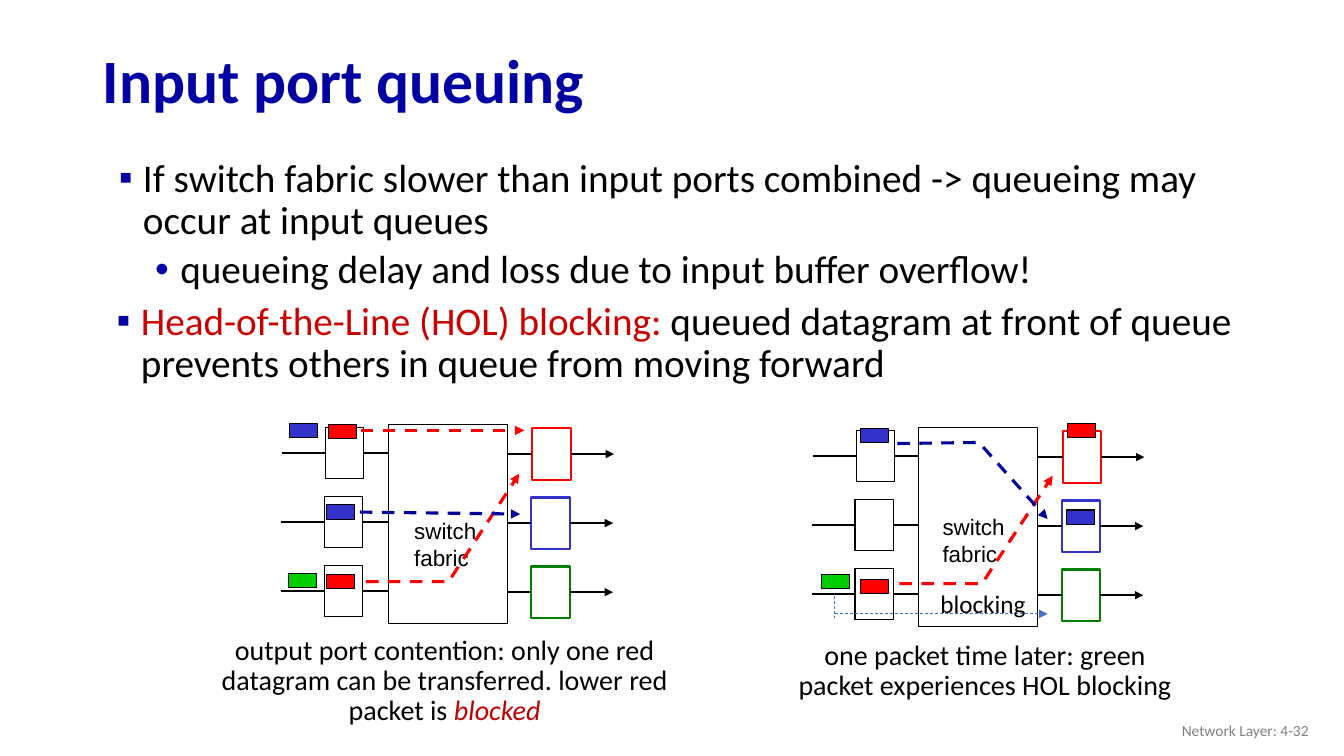
from lxml import etree
from pptx import Presentation
from pptx.dml.color import RGBColor
from pptx.enum.dml import MSO_LINE_DASH_STYLE as Dash
from pptx.enum.shapes import MSO_CONNECTOR as Conn, MSO_SHAPE as Shape
from pptx.enum.text import MSO_ANCHOR as Anchor, PP_ALIGN as Align
from pptx.oxml.ns import qn
from pptx.util import Inches, Pt

COLORS = {
    "black": "000000", "white": "FFFFFF", "gray": "808080",
    "title": "0000A3", "subbullet": "0000A8", "hol": "CC0000", "blocked": "C00000",
    "red": "FF0000", "blue": "3333CC", "green": "00CC00", "dark green": "008000",
    "navy": "000099", "steel": "4472C4",
}

# Content: a paragraph is a list of (text, format) runs
TITLE = [[("Input port queuing", {"color": "title", "bold": True})]]
QUEUEING = [
    [("If switch fabric slower than input ports combined -> queueing may occur at input queues", {})],
    [("queueing delay and loss due to input buffer overflow!", {})],
]
HOL = [[("Head-of-the-Line (HOL) blocking:", {"color": "hol"}),
        (" queued datagram at front of queue prevents others in queue from moving forward", {})]]
CONTENTION = [[("output port contention: only one red datagram can be transferred. lower red packet is ", {}),
               ("blocked", {"color": "blocked", "italic": True})]]
LATER = [[("one packet time later: green packet experiences HOL blocking", {})]]
FABRIC = [[("switch", {})], [("fabric", {})]]
BLOCKING = [[("blocking", {})]]
FOOTER = [[("Network Layer: 4-32", {"color": "gray"})]]

# Bullets: level, left margin, indent, character, colour
SQUARE = (0, 0.39, -0.24, "▪", "title")
DOT = (1, 0.76, -0.25, "•", "subbullet")

# Each switch: fabric corner, label corner, packets (x, y, colour), paths (points, colour)
SWITCHES = [
    {"fabric": (3.85, 4.21), "label": (4.01, 5.08),
     "packets": [(3.26, 4.21, "red"), (3.24, 5.01, "blue"), (3.24, 5.7, "red"),
                 (2.87, 4.2, "blue"), (2.86, 5.69, "green")],
     "paths": [([(3.58, 4.27), (5.2, 4.27)], "red"),
               ([(3.63, 5.77), (4.45, 5.77), (5.15, 4.7)], "red"),
               ([(3.57, 5.08), (5.16, 5.1)], "navy")]},
    {"fabric": (9.11, 4.24), "label": (9.25, 5.04),
     "packets": [(10.59, 4.2, "red"), (8.53, 4.25, "blue"), (8.53, 5.75, "red"),
                 (8.15, 5.7, "green"), (10.58, 5.06, "blue")],
     "paths": [([(8.92, 5.79), (9.74, 5.79), (10.44, 4.72)], "red"),
               ([(8.9, 4.4), (9.71, 4.39), (10.39, 5.15)], "navy")]},
]
OUTPUTS = ["red", "blue", "dark green"]
FABRIC_W, FABRIC_H = 1.18, 1.98
PORT_W, PORT_H = 0.38, 0.51
PACKET_W, PACKET_H = 0.28, 0.14
PORT_PITCH = 0.685
WIRE = 0.43

prs = Presentation()
prs.slide_width, prs.slide_height = Inches(13.33), Inches(7.5)
s = prs.slides.add_slide(prs.slide_layouts[5])


def rgb(name):
    return RGBColor.from_string(COLORS[name])


def add_bullet(p, bullet):
    level, margin, indent, char, color = bullet
    p.level = level
    pPr = p._p.get_or_add_pPr()
    pPr.set("marL", str(Inches(margin)))
    pPr.set("indent", str(Inches(indent)))
    clr = etree.SubElement(pPr, qn("a:buClr"))
    etree.SubElement(clr, qn("a:srgbClr"), val=COLORS[color])
    etree.SubElement(pPr, qn("a:buFont"), typeface="Arial")
    etree.SubElement(pPr, qn("a:buChar"), char=char)


def write(paragraphs, x, y, w, h, size=28, font="Calibri", align=Align.LEFT, spacing=0.9,
          bullets=(), before=5, anchor=Anchor.TOP, wrap=True, sp=None):
    sp = sp or s.shapes.add_textbox(0, 0, 0, 0)
    sp.left, sp.top, sp.width, sp.height = (Inches(v) for v in (x, y, w, h))
    tf = sp.text_frame
    tf.word_wrap, tf.vertical_anchor = wrap, anchor
    for i, runs in enumerate(paragraphs):
        p = tf.add_paragraph() if i else tf.paragraphs[0]
        p.alignment, p.line_spacing = align, spacing
        p.space_before = Pt(before if i else 0)
        if bullets:
            add_bullet(p, bullets[i])
        for text, fmt in runs:
            r = p.add_run()
            r.text = text
            r.font.name, r.font.size = font, Pt(size)
            r.font.bold = fmt.get("bold", False)
            r.font.italic = fmt.get("italic", False)
            r.font.color.rgb = rgb(fmt.get("color", "black"))


def style_line(line, color, width, dashed=False, arrow=False):
    line.color.rgb, line.width = rgb(color), Pt(width)
    if dashed:
        line.dash_style = Dash.DASH
    if arrow:
        ln = line._get_or_add_ln()
        etree.SubElement(ln, qn("a:tailEnd"), type="triangle")


def add_box(x, y, w, h, fill="white", line="black", width=0.75):
    sp = s.shapes.add_shape(Shape.RECTANGLE, *(Inches(v) for v in (x, y, w, h)))
    sp.shadow.inherit = False
    sp.fill.solid()
    sp.fill.fore_color.rgb = rgb(fill)
    style_line(sp.line, line, width)
    return sp


def add_line(start, end, color="black", width=1.5, dashed=False, arrow=False,
             begin_box=None, end_box=None):
    c = s.shapes.add_connector(Conn.STRAIGHT, *(Inches(v) for v in (*start, *end)))
    if begin_box is not None:
        c.begin_connect(begin_box, 3)
    if end_box is not None:
        c.end_connect(end_box, 1)
    style_line(c.line, color, width, dashed, arrow)
    etree.SubElement(c._element.spPr, qn("a:effectLst"))


def add_path(points, color):
    if len(points) == 2:
        add_line(*points, color=color, width=2.25, dashed=True, arrow=True)
        return
    emu = [(Inches(x), Inches(y)) for x, y in points]
    builder = s.shapes.build_freeform(*emu[0])
    builder.add_line_segments(emu[1:], close=False)
    sp = builder.convert_to_shape()
    sp.shadow.inherit = False
    sp.fill.background()
    style_line(sp.line, color, 2.25, dashed=True, arrow=True)


def add_switch(fabric, label, packets, paths):
    x, y = fabric
    right = x + FABRIC_W
    add_box(x, y, FABRIC_W, FABRIC_H)
    # Three input and output ports with their wires
    for row, color in enumerate(OUTPUTS):
        shift = 0.01 if row else 0
        in_x, out_x = x - 0.62 - shift, x + 1.43 - shift
        in_y = y + 0.03 + row * PORT_PITCH
        out_y = in_y + 0.01
        in_mid, out_mid = in_y + PORT_H / 2, out_y + PORT_H / 2
        port_in = add_box(in_x, in_y, PORT_W, PORT_H)
        port_out = add_box(out_x, out_y, PORT_W, PORT_H, line=color, width=1.5)
        add_line((in_x - WIRE, in_mid), (in_x, in_mid), end_box=port_in)
        add_line((in_x + PORT_W, in_mid), (x, in_mid), begin_box=port_in)
        add_line((right, out_mid), (out_x, out_mid), end_box=port_out)
        add_line((out_x + PORT_W, out_mid), (out_x + PORT_W + WIRE, out_mid),
                 arrow=True, begin_box=port_out)
    write(FABRIC, *label, 0.82, 0.64, size=16, font="Arial", spacing=1, before=0, wrap=False)
    for px, py, color in packets:
        add_box(px, py, PACKET_W, PACKET_H, fill=color)
    for points, color in paths:
        add_path(points, color)


# Title and bullets
write(TITLE, 0.92, 0.34, 11.5, 0.98, size=44, anchor=Anchor.MIDDLE, sp=s.shapes.title)
write(QUEUEING, 0.93, 1.52, 11.5, 1.48, bullets=(SQUARE, DOT))
write(HOL, 0.91, 2.94, 11.5, 1.08, bullets=(SQUARE,))

# Switch diagrams and captions
for switch in SWITCHES:
    add_switch(**switch)
write(CONTENTION, 1.97, 6.26, 4.88, 1.01, size=20, align=Align.CENTER)
write(LATER, 7.81, 6.31, 3.92, 0.71, size=20, align=Align.CENTER)

# Blocked green packet
add_line((8.28, 5.91), (8.28, 6.13), color="steel", width=0.5, dashed=True)
add_line((8.28, 6.09), (10.39, 6.09), color="steel", width=0.5, dashed=True, arrow=True)
write(BLOCKING, 9.22, 5.82, 1.06, 0.37, size=18, align=Align.CENTER, wrap=False)

# Footer
write(FOOTER, 10.08, 7.05, 3, 0.4, size=11, align=Align.RIGHT, spacing=1, anchor=Anchor.MIDDLE)

prs.save("out.pptx")
